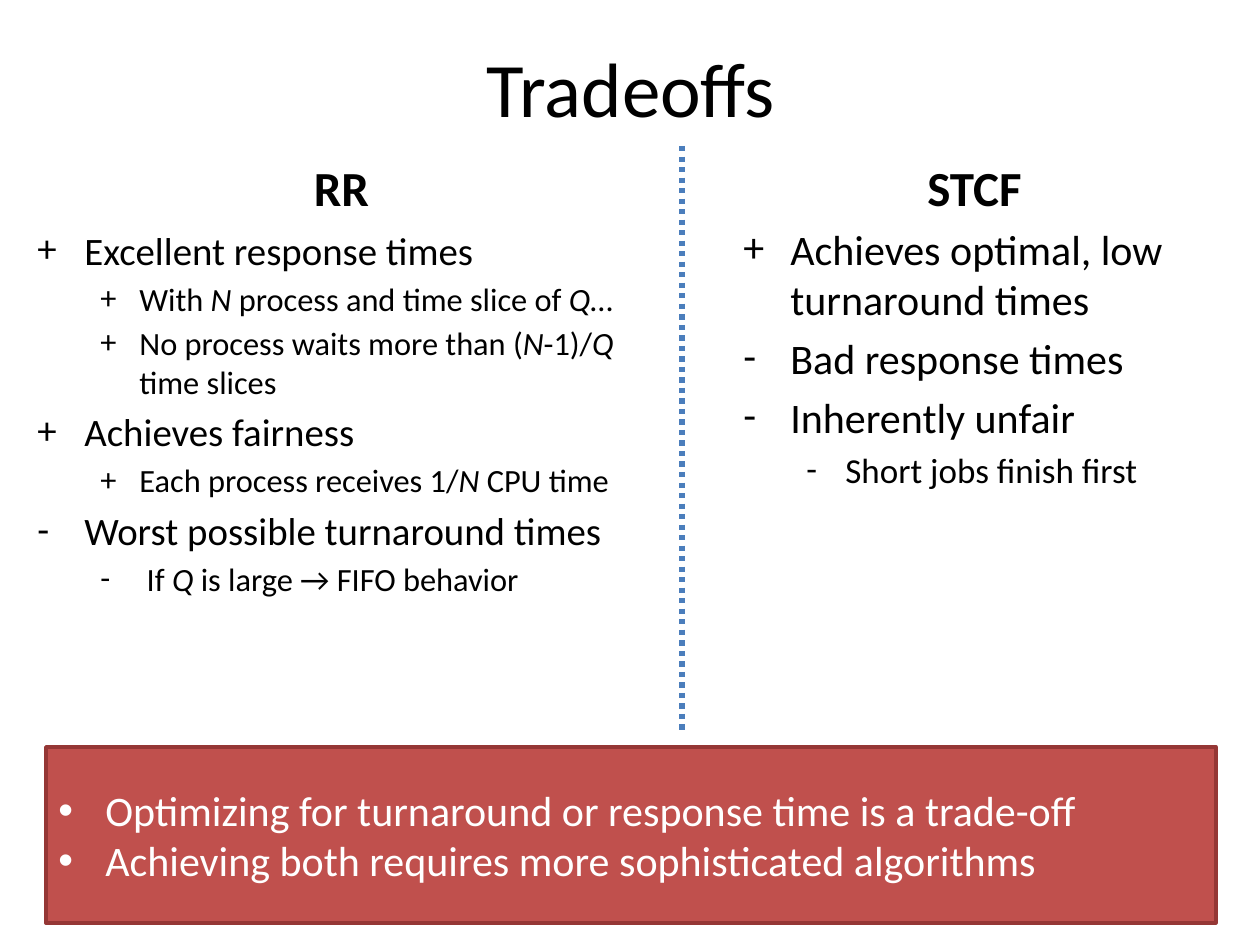
from dataclasses import dataclass

from lxml import etree
from pptx import Presentation
from pptx.dml.color import RGBColor
from pptx.enum.dml import MSO_LINE
from pptx.enum.shapes import MSO_CONNECTOR, MSO_SHAPE
from pptx.enum.text import MSO_ANCHOR, PP_ALIGN
from pptx.oxml.ns import qn
from pptx.util import Emu, Pt

TOP, MIDDLE, BOTTOM = MSO_ANCHOR.TOP, MSO_ANCHOR.MIDDLE, MSO_ANCHOR.BOTTOM
LEFT, CENTER = PP_ALIGN.LEFT, PP_ALIGN.CENTER
RECTANGLE, STRAIGHT, DOTTED = MSO_SHAPE.RECTANGLE, MSO_CONNECTOR.STRAIGHT, MSO_LINE.ROUND_DOT
EMU_PER_PX = 914400 / 126
FONT = "Calibri"
BLACK, WHITE = "000000", "FFFFFF"
INDENTS = [(47, -47), (102, -39)]


@dataclass
class Item:
    """A paragraph; asterisks in its text switch italics on and off."""
    text: str
    size: float
    bullet: str = ""
    level: int = 0
    bold: bool = False


@dataclass
class Block:
    """A text area with its place and paragraphs."""
    place: tuple[int, int, int, int]
    items: list[Item]
    anchor: MSO_ANCHOR = TOP
    align: PP_ALIGN = LEFT
    gap: float = 0.2


def px(length: int) -> Emu:
    """Turn pixels into EMU."""
    return Emu(round(length * EMU_PER_PX))


def color(code: str) -> RGBColor:
    """Turn a hex string into a colour."""
    return RGBColor.from_string(code)


def set_values(target, values: dict) -> None:
    """Set attributes from a dict of format values."""
    for name, value in values.items():
        setattr(target, name, value)


def add_bullet(para, item: Item) -> None:
    """Give a paragraph a hanging bullet."""
    margin, indent = INDENTS[item.level]
    properties = para._p.get_or_add_pPr()
    properties.set("marL", str(px(margin)))
    properties.set("indent", str(px(indent)))
    typeface = "Arial" if item.bullet == "•" else FONT
    etree.SubElement(properties, qn("a:buFont")).set("typeface", typeface)
    etree.SubElement(properties, qn("a:buChar")).set("char", item.bullet)


def write_items(box, block: Block, text_color: str) -> None:
    """Fill a shape with the paragraphs of a block."""
    frame = box.text_frame
    set_values(frame, {"word_wrap": True, "vertical_anchor": block.anchor})
    for index, item in enumerate(block.items):
        para = frame.add_paragraph() if index else frame.paragraphs[0]
        space = Pt(block.gap * item.size) if index else Pt(0)
        set_values(para, {"level": item.level, "alignment": block.align, "space_before": space})
        if item.bullet:
            add_bullet(para, item)
        for part, text in enumerate(item.text.split("*")):
            if text:
                span = para.add_run()
                span.text = text
                set_values(span.font, {"name": FONT, "size": Pt(item.size),
                                       "bold": item.bold, "italic": part % 2 == 1})
                span.font.color.rgb = color(text_color)


def add_text(page, block: Block) -> None:
    """Draw a block as a text box."""
    box = page.shapes.add_textbox(*map(px, block.place))
    write_items(box, block, BLACK)


def add_panel(page, block: Block, fill: str, border: str) -> None:
    """Draw a block as a filled rectangle."""
    box = page.shapes.add_shape(RECTANGLE, *map(px, block.place))
    box.shadow.inherit = False
    box.fill.solid()
    box.fill.fore_color.rgb = color(fill)
    box.line.color.rgb = color(border)
    box.line.width = Pt(2)
    write_items(box, block, WHITE)


def add_divider(page, x: int, top: int, bottom: int, line_color: str) -> None:
    """Draw a dotted vertical line."""
    divider = page.shapes.add_connector(STRAIGHT, px(x), px(top), px(x), px(bottom))
    divider.line.color.rgb = color(line_color)
    set_values(divider.line, {"width": Pt(3), "dash_style": DOTTED})
    etree.SubElement(divider._element.spPr, qn("a:effectLst"))


def heading(text: str, left: int) -> Block:
    """Describe the heading of a column."""
    return Block((left, 135, 557, 88), [Item(text, 28, bold=True)], BOTTOM, CENTER)


TITLE = Block((64, 8, 1134, 158), [Item("Tradeoffs", 44)], MIDDLE, CENTER)
ROUND_ROBIN = Block((25, 220, 622, 509), [
    Item("Excellent response times", 22.2, "+"),
    Item("With *N* process and time slice of *Q*…", 18.5, "+", 1),
    Item("No process waits more than (*N*-1)/*Q *time slices", 18.5, "+", 1),
    Item("Achieves fairness", 22.2, "+"),
    Item("Each process receives 1/*N* CPU time", 18.5, "+", 1),
    Item("Worst possible turnaround times", 22.2, "-"),
    Item(" If *Q* is large → FIFO behavior", 18.5, "-", 1),
], gap=0.18)
SHORTEST_FIRST = Block((731, 217, 499, 529), [
    Item("Achieves optimal, low turnaround times", 24, "+"),
    Item("Bad response times", 24, "-"),
    Item("Inherently unfair", 24, "-"),
    Item("Short jobs finish first", 20, "-", 1),
])
SUMMARY = Block((46, 747, 1170, 176), [
    Item("Optimizing for turnaround or response time is a trade-off", 24, "•"),
    Item("Achieving both requires more sophisticated algorithms", 24, "•"),
], MIDDLE, gap=0)


def main() -> None:
    """Build and save the deck."""
    deck = Presentation()
    set_values(deck, {"slide_width": px(1260), "slide_height": px(945)})
    page = deck.slides.add_slide(deck.slide_layouts[6])
    for block in (TITLE, heading("RR", 63), ROUND_ROBIN, heading("STCF", 696), SHORTEST_FIRST):
        add_text(page, block)
    add_divider(page, 682, 146, 730, "4B7EBC")
    add_panel(page, SUMMARY, "C0504D", "953735")
    deck.save("out.pptx")


if __name__ == "__main__":
    main()
